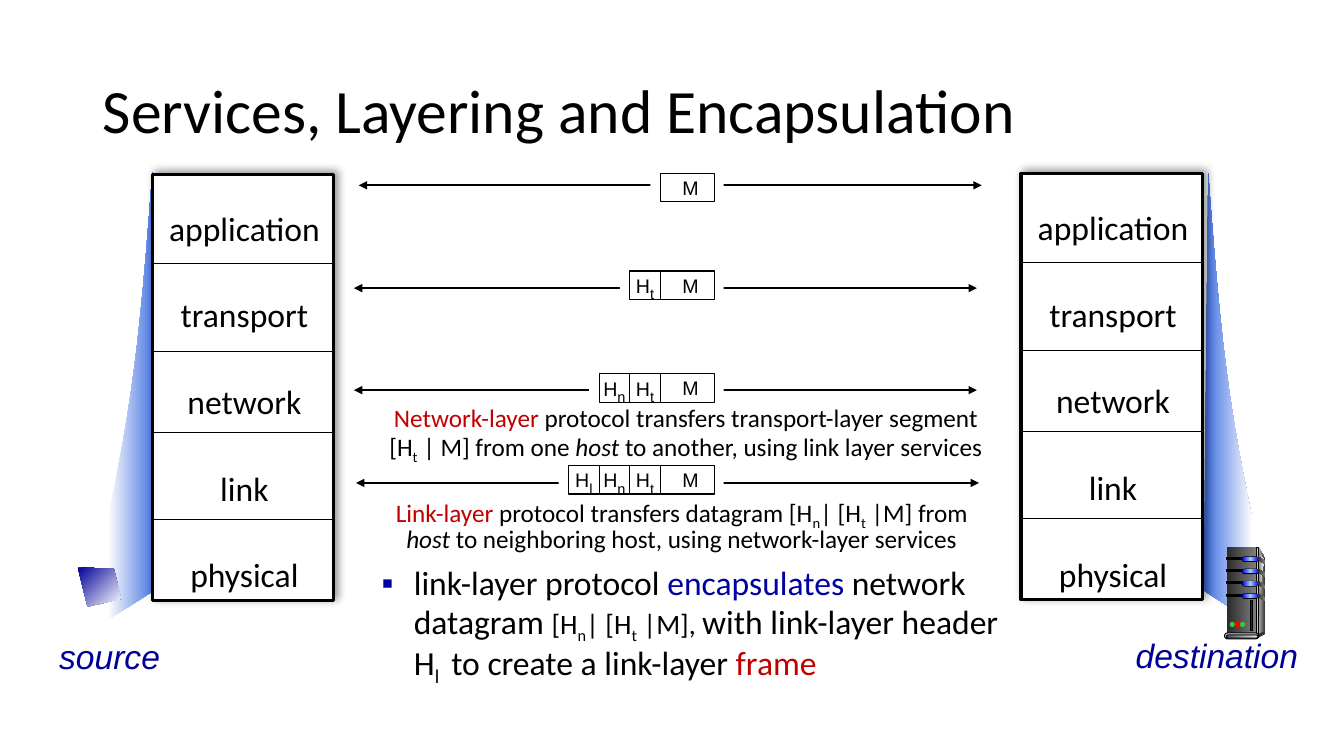
"""Build a slide on services, layering and encapsulation between two hosts."""
from copy import deepcopy

from lxml import etree
from pptx import Presentation
from pptx import util as u
from pptx.dml.color import RGBColor
from pptx.enum import shapes, text
from pptx.oxml.ns import qn

BLACK = RGBColor(0, 0, 0)
WHITE = RGBColor(255, 255, 255)
RED = RGBColor(0xC0, 0, 0)
BLUE = RGBColor(0, 0, 0xA3)
NAVY = RGBColor(0, 0, 0x99)
BEAM = RGBColor(0x3C, 0x6C, 0xDF)
COAL = RGBColor(0x29, 0x29, 0x29)
DARK = RGBColor(0x33, 0x33, 0x33)
GREY = RGBColor(0x80, 0x80, 0x80)
SILVER = RGBColor(0xDD, 0xDD, 0xDD)
PALE = RGBColor(0xF8, 0xF8, 0xF8)
SLATE = RGBColor(0x44, 0x54, 0x6A)
MIST = RGBColor(0xE7, 0xE6, 0xE6)
LAMP = RGBColor(0, 0, 255)
GLOW = RGBColor(0x99, 0xCC, 255)
GREEN = RGBColor(0x33, 0xCC, 0x33)
SIGNAL = RGBColor(255, 0, 0)

TITLE = "Services, Layering and Encapsulation"
LAYERS = ["application", "transport", "network", "link", "physical"]
DIVIDERS = [2.24, 4.47, 6.5, 8.69]
STACKS = [(3.84, 4.39), (25.73, 4.37)]
HOSTS = [("source", 1.24, 15.9, 3.05), ("destination", 28.37, 15.88, 4.65)]
BEAMS = [
    ((2.72, 15.62), (3.96, 14.83), [(3.84, 4.34), (3.51, 8.86), (3.3, 10.26), (2.72, 13.08)], (WHITE, BEAM)),
    ((31.57, 15.67), (30.33, 14.88), [(30.45, 4.37), (30.78, 8.92), (30.99, 10.31), (31.57, 13.13)], (BEAM, WHITE)),
]
MESSAGES = [
    (9.04, 4.67, 4.37, ""),
    (8.92, 7.26, 6.83, "t"),
    (8.92, 9.83, 9.42, "nt"),
    (8.97, 12.17, 11.73, "lnt"),
]
ARROW_W, MESSAGE_RIGHT, PAYLOAD_W, HEADER_W, CELL_H = 15.7, 18.02, 1.38, 0.77, 0.72
NETWORK_NOTE = [
    ("Network-layer ", {"color": RED}),
    ("protocol transfers transport-layer segment [H", {}), ("t", {"sub": True}),
    (" | M] from one ", {}), ("host", {"italic": True}),
    (" to another, using link layer services", {}),
]
LINK_NOTE = [
    ("Link-layer ", {"color": RED}),
    ("protocol transfers datagram [H", {}), ("n", {"sub": True}),
    ("| [H", {}), ("t", {"sub": True}), (" |M] from ", {}), ("host ", {"italic": True}),
    ("to neighboring host, using network-layer services", {}),
]
FRAME_POINT = [
    ("link-layer protocol ", {}), ("encapsulates", {"color": BLUE}), (" network datagram ", {}),
    ("[H", {"size": 20}), ("n", {"size": 20, "sub": True}), ("| [H", {"size": 20}),
    ("t", {"size": 20, "sub": True}), (" |M], ", {"size": 20}),
    ("with link-layer header H", {}), ("l ", {"sub": True}),
    (" to create a link-layer ", {}), ("frame", {"color": RED}),
]

presentation = Presentation()
presentation.slide_width, presentation.slide_height = u.Cm(33.87), u.Cm(19.05)
slide = presentation.slides.add_slide(presentation.slide_layouts[6])


def paint(shape, fill, line=None, angle=0):
    shape.shadow.inherit = False
    if isinstance(fill, RGBColor):
        shape.fill.solid()
        shape.fill.fore_color.rgb = fill
    else:
        shape.fill.gradient()
        shape.fill.gradient_angle = angle
        stop_list = shape._element.spPr.find(".//" + qn("a:gsLst"))
        for _ in fill[2:]:
            stop_list.append(deepcopy(stop_list[0]))
        for index, (stop, color) in enumerate(zip(shape.fill.gradient_stops, fill)):
            stop.color.rgb = color
            stop.position = index / (len(fill) - 1)
    if line:
        shape.line.color.rgb = BLACK
        shape.line.width = u.Pt(line)
    else:
        shape.line.fill.background()


def add_box(x, y, w, h, fill, line=None, kind="RECTANGLE"):
    preset = getattr(shapes.MSO_SHAPE, kind)
    shape = slide.shapes.add_shape(preset, u.Cm(x), u.Cm(y), u.Cm(w), u.Cm(h))
    if kind == "ROUNDED_RECTANGLE":
        shape.adjustments[0] = 0.5
    paint(shape, fill, line)
    return shape


def add_outline(points, fill, angle=0):
    start, *others = [(u.Cm(x), u.Cm(y)) for x, y in points]
    builder = slide.shapes.build_freeform(*start)
    builder.add_line_segments(others, close=True)
    paint(builder.convert_to_shape(), fill, angle=angle)


def add_line(x1, y1, x2, y2, width, arrows=False):
    line = slide.shapes.add_connector(
        shapes.MSO_CONNECTOR.STRAIGHT, u.Cm(x1), u.Cm(y1), u.Cm(x2), u.Cm(y2))
    line.line.color.rgb = BLACK
    line.line.width = u.Pt(width)
    properties = line._element.spPr
    if arrows:
        for end in ("a:headEnd", "a:tailEnd"):
            etree.SubElement(properties.find(qn("a:ln")), qn(end), type="triangle")
    etree.SubElement(properties, qn("a:effectLst"))


def add_text(x, y, w, h, wrap=True):
    frame = slide.shapes.add_textbox(u.Cm(x), u.Cm(y), u.Cm(w), u.Cm(h)).text_frame
    frame.word_wrap = wrap
    return frame


def style_run(run, size, color=BLACK, font="Calibri", italic=False, sub=False):
    run.font.name, run.font.size, run.font.italic = font, u.Pt(size), italic
    run.font.color.rgb = color
    if sub:
        run._r.get_or_add_rPr().set("baseline", "-25000")


def write_runs(paragraph, parts, size, spacing=None, align=text.PP_ALIGN.LEFT, font="Calibri"):
    paragraph.alignment = align
    paragraph.line_spacing = spacing
    for words, look in parts:
        run = paragraph.add_run()
        run.text = words
        style_run(run, **{"size": size, "font": font, **look})


def curve(points, steps=12):
    for step in range(steps + 1):
        t = step / steps
        weights = ((1 - t) ** 3, 3 * t * (1 - t) ** 2, 3 * t * t * (1 - t), t ** 3)
        yield tuple(sum(k * p[axis] for k, p in zip(weights, points)) for axis in (0, 1))


def add_stack(x, y):
    box = add_box(x, y, 4.57, 10.74, WHITE, 2.25)
    shadow = etree.SubElement(box._element.spPr.find(qn("a:effectLst")), qn("a:outerShdw"),
                              blurRad=str(u.Pt(6)), dist=str(u.Pt(3)), dir="18900000")
    color = etree.SubElement(shadow, qn("a:srgbClr"), val="000000")
    etree.SubElement(color, qn("a:alpha"), val="40000")
    frame = add_text(x - 0.13, y - 0.45, 4.9, 11.2)
    frame.text = "\n".join(LAYERS)
    for paragraph in frame.paragraphs:
        paragraph.alignment = text.PP_ALIGN.CENTER
        paragraph.line_spacing = 2.15
        style_run(paragraph.runs[0], 24)
    for offset in DIVIDERS:
        add_line(x, y + offset, x + 4.57, y + offset, 0.5)


def add_message(x, arrow_y, top, headers):
    left = MESSAGE_RIGHT - PAYLOAD_W - HEADER_W * len(headers)
    add_line(x, arrow_y, x + ARROW_W, arrow_y, 1.5, arrows=True)
    add_box(left - 0.25, top - 0.2, MESSAGE_RIGHT - left + 0.47, 1.08, WHITE)
    cells = [[("H", {}), (h, {"size": 18, "sub": True})] for h in headers] + [[("M", {})]]
    for index, parts in enumerate(cells):
        payload = index == len(headers)
        cell = add_box(left + index * HEADER_W, top, PAYLOAD_W if payload else HEADER_W, CELL_H, WHITE, 0.75)
        frame = cell.text_frame
        frame.margin_left = u.Cm(0.15 if payload else 0)
        frame.margin_right = frame.margin_top = frame.margin_bottom = 0
        frame.word_wrap = False
        frame.vertical_anchor = text.MSO_ANCHOR.MIDDLE
        write_runs(frame.paragraphs[0], parts, 14, align=text.PP_ALIGN.CENTER, font="Arial")


def add_server(x, y):
    add_outline([(x + 0.81, y), (x + 0.97, y + 0.28), (x + 0.97, y + 2.11), (x + 0.76, y + 2.21)], (SILVER, DARK))
    add_box(x, y, 0.76, 2.21, (COAL, GREY))
    add_outline([(x + 0.81, y + 0.13), (x + 0.94, y + 0.31), (x + 0.83, y + 1.2), (x + 0.81, y + 2.14)], (GREY, PALE))
    add_box(x + 0.76, y, 0.05, 2.21, (DARK, SILVER, DARK), 0.75)
    for drive in range(4):
        top = y + 0.23 + drive * 0.31
        add_box(x, top + 0.02, 0.43, 0.05, BLACK, 0.75)
        add_box(x + 0.38, top, 0.43, 0.14, BLACK, kind="ROUNDED_RECTANGLE")
        add_box(x + 0.4, top + 0.01, 0.41, 0.11, (LAMP, GLOW, LAMP), kind="ROUNDED_RECTANGLE")
        add_outline([(x + 0.79, top), (x + 0.97, top + 0.11), (x + 0.97, top + 0.2), (x + 0.79, top + 0.08)], (COAL, GREY))
    add_outline([(x + 0.79, y + 2.19), (x + 0.79, y + 2.29), (x + 0.97, y + 2.19), (x + 0.97, y + 2.11)], DARK)
    add_box(x - 0.05, y + 2.16, 0.86, 0.15, SILVER, 0.75, "ROUNDED_RECTANGLE")
    add_box(x, y + 2.21, 0.79, 0.08, (SLATE, MIST), 0.75, "ROUNDED_RECTANGLE")
    for index, color in enumerate((GREEN, SIGNAL, GREEN)):
        add_box(x + 0.08 + index * 0.13, y + 1.88, 0.13, 0.13, color, kind="OVAL")
    add_box(x + 0.61, y + 1.35, 0.05, 0.74, COAL, 0.75)


for tip, corner, edge, colors in BEAMS:
    add_outline([tip, corner, *curve(edge)], colors)
title = add_text(2.34, 1.02, 29.21, 3.68)
title.vertical_anchor = text.MSO_ANCHOR.MIDDLE
write_runs(title.paragraphs[0], [(TITLE, {})], 44, 0.9)
add_outline([(1.96, 14.3), (2.87, 14.33), (3.05, 15.09), (2.21, 15.29)], (NAVY, WHITE), 315)
for position in STACKS:
    add_stack(*position)
add_server(30.91, 13.79)
for name, x, y, width in HOSTS:
    label = add_text(x, y, width, 1.27, wrap=False)
    write_runs(label.paragraphs[0], [(name, {"color": NAVY, "italic": True})], 24, font="Arial")
for message in MESSAGES:
    add_message(*message)
for parts, x, y, width in ((NETWORK_NOTE, 9.32, 10.13, 15.93), (LINK_NOTE, 9.37, 12.45, 15.62)):
    write_runs(add_text(x, y, width, 1.57).paragraphs[0], parts, 18, 0.85, text.PP_ALIGN.CENTER)
point = add_text(9.37, 14.15, 16.21, 3.02).paragraphs[0]
bullet = point._p.get_or_add_pPr()
bullet.set("marL", str(u.Cm(0.81)))
bullet.set("indent", str(-u.Cm(0.81)))
etree.SubElement(etree.SubElement(bullet, qn("a:buClr")), qn("a:srgbClr"), val=str(BLUE))
etree.SubElement(bullet, qn("a:buFont"), typeface="Arial")
etree.SubElement(bullet, qn("a:buChar"), char="▪")
write_runs(point, FRAME_POINT, 24, 0.9)
presentation.save("out.pptx")
